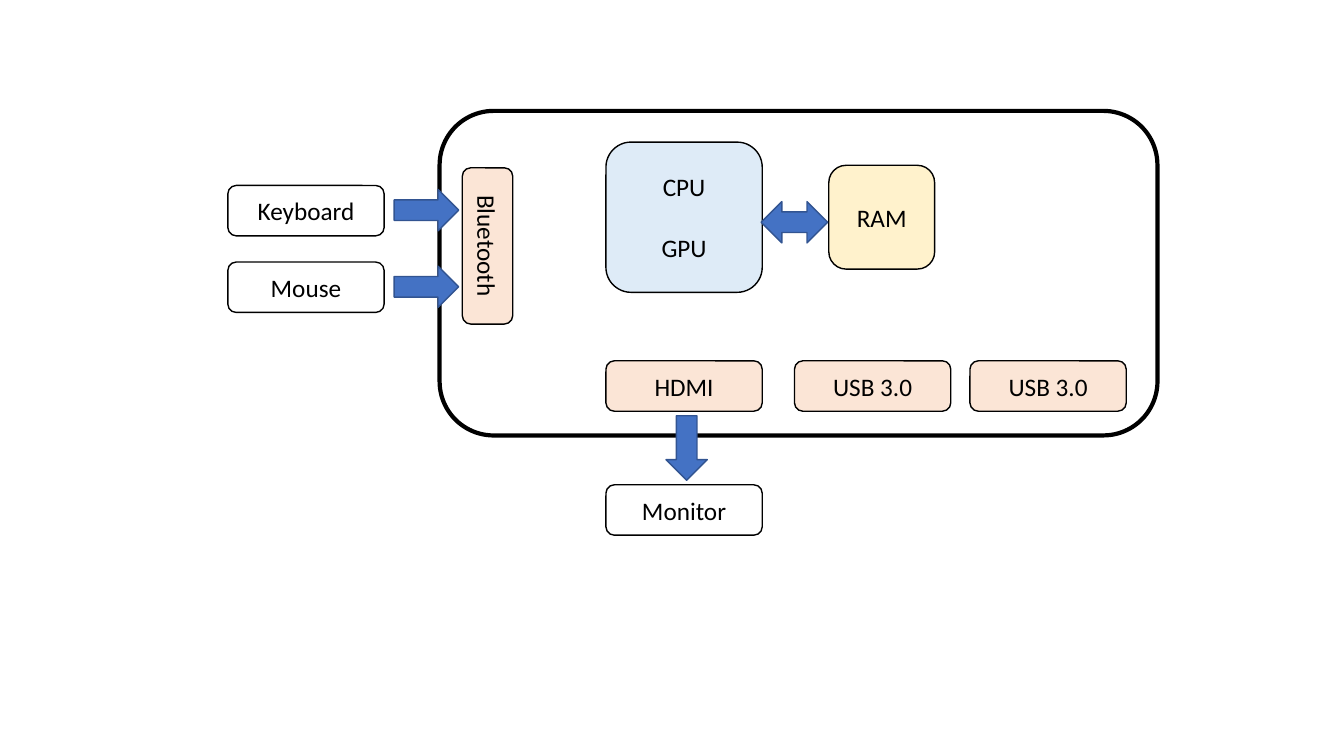
from pptx import Presentation
from pptx.dml.color import RGBColor
from pptx.enum.shapes import MSO_SHAPE
from pptx.enum.text import MSO_ANCHOR, PP_ALIGN
from pptx.util import Inches, Pt

ROUND = MSO_SHAPE.ROUNDED_RECTANGLE
RIGHT = MSO_SHAPE.RIGHT_ARROW
BOTH = MSO_SHAPE.LEFT_RIGHT_ARROW
MIDDLE = MSO_ANCHOR.MIDDLE
CENTER = PP_ALIGN.CENTER

CELL = Inches(0.1)  # grid step: 133.3 columns by 75 rows
PORT = (15.5, 5)
ARROW = (6.4, 4.1)
BLACK, WHITE, PEACH = "000000", "FFFFFF", "FBE5D6"


def color(text):
    return RGBColor.from_string(text)


def draw(slide, kind, box, fill=None, line=BLACK, width=1, turn=0):
    """Add a shape whose box is left, top, width, height in grid cells."""
    shape = slide.shapes.add_shape(kind, *(round(v * CELL) for v in box))
    shape.shadow.inherit = False
    shape.rotation = turn
    if fill:
        shape.fill.solid()
        shape.fill.fore_color.rgb = color(fill)
    else:
        shape.fill.background()
    shape.line.color.rgb = color(line)
    shape.line.width = Pt(width)
    return shape


def block(slide, text, box, fill, turn=0, gap=0):
    frame = draw(slide, ROUND, box, fill, turn=turn).text_frame
    frame.word_wrap = True
    frame.vertical_anchor = MIDDLE
    frame.text = text
    for i, para in enumerate(frame.paragraphs):
        para.alignment = CENTER
        para.font.size = Pt(18)
        para.font.name = "Calibri"
        para.font.color.rgb = color(BLACK)
        if i:
            para.space_before = Pt(gap)


def arrow(slide, box, kind=RIGHT, turn=0):
    draw(slide, kind, box, "4472C4", "325491", turn=turn)


def computer(slide, box):
    x, y, w, h = box
    draw(slide, ROUND, box, width=3)
    block(slide, "CPU\nGPU", (x + 16.5, y + 3.1, 15.5, 14.9), "DEEBF7", gap=22)
    block(slide, "RAM", (x + 38.6, y + 5.4, 10.5, 10.3), "FFF2CC")
    arrow(slide, (x + 31.9, y + 9, 6.6, 4.1), BOTH)
    ports = (("HDMI", 16.5), ("USB 3.0", 35.2), ("USB 3.0", 52.6))
    for name, left in ports:
        block(slide, name, (x + left, y + h - 7.4, *PORT), PEACH)
    block(slide, "Bluetooth", (x - 3, y + 10.9, *PORT), PEACH, turn=90)


def inputs(slide, box):
    x, y, w, h = box
    for i, name in enumerate(("Keyboard", "Mouse")):
        top = y + i * (h - PORT[1])
        block(slide, name, (x, top, *PORT), WHITE)
        arrow(slide, (x + w - ARROW[0], top + 0.4, *ARROW))


def output(slide, box):
    x, y, w, h = box
    arrow(slide, (x + 4.8, y + 1.1, *ARROW), turn=90)
    block(slide, "Monitor", (x, y + h - PORT[1], *PORT), WHITE)


def main():
    deck = Presentation()
    deck.slide_width, deck.slide_height = Inches(13.33), Inches(7.5)
    slide = deck.slides.add_slide(deck.slide_layouts[6])
    computer(slide, (43.6, 11, 71.2, 32.2))
    inputs(slide, (22.6, 18.4, 22.9, 12.6))
    output(slide, (60.1, 41.3, 15.5, 11.8))
    deck.save("out.pptx")


if __name__ == "__main__":
    main()
